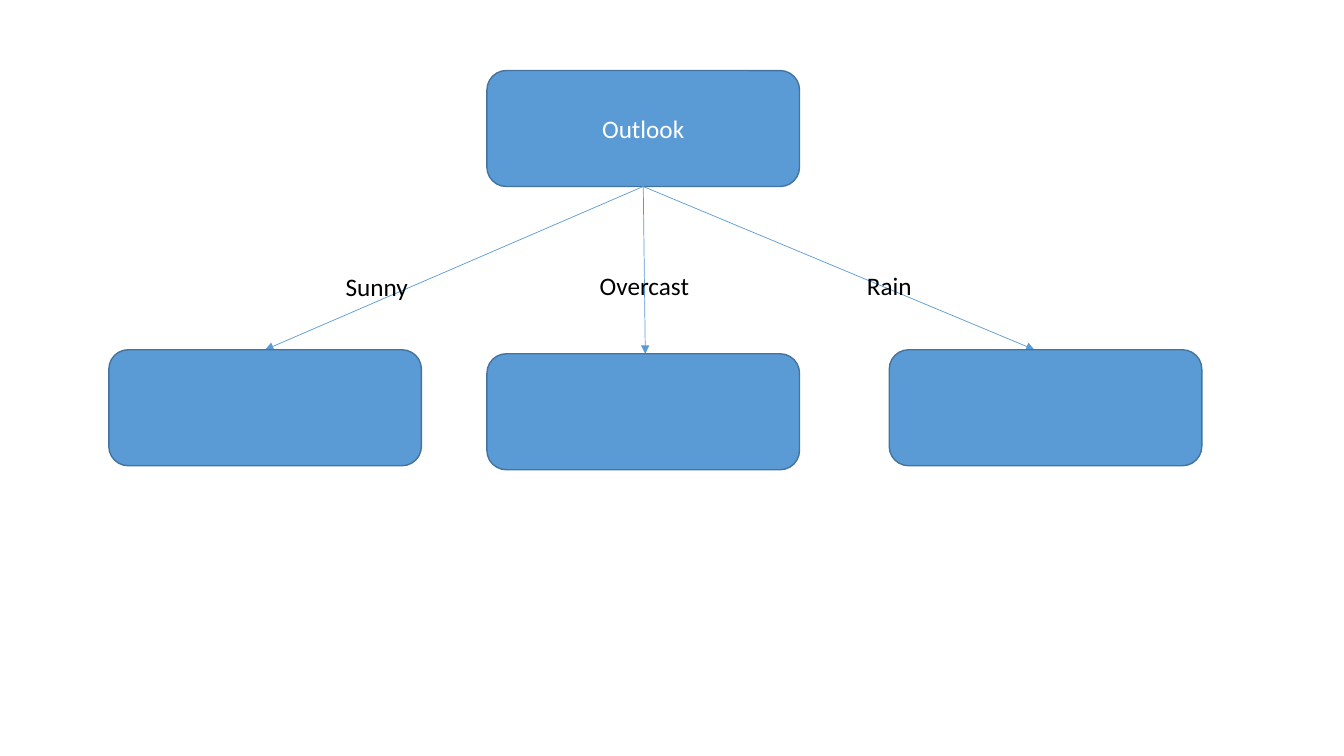
"""Decision tree slide that splits the outlook into three branches."""
from lxml import etree
from pptx import Presentation
from pptx import util as u
from pptx.dml.color import RGBColor
from pptx.enum import shapes, text
from pptx.oxml.ns import qn

PX = 9144
COLORS = {"node": "5B9BD5", "edge": "43739E", "light": "FFFFFF", "dark": "000000"}
NODE_SIZE = (310, 115)
ROOT = (483, 70)
ROOT_EXIT = (638, 185)
BRANCHES = [
    {"name": "Sunny", "label": (333, 264, 83, 40), "tip": (262, 347), "node": (108, 347)},
    {"name": "Overcast", "label": (585, 263, 110, 40), "tip": (640, 351), "node": (483, 351)},
    {"name": "Rain", "label": (850, 263, 65, 40), "tip": (1026, 347), "node": (882, 347)},
]
NODE_FRAME = {"vertical_anchor": text.MSO_ANCHOR.MIDDLE, "word_wrap": True}
LABEL_FRAME = {"word_wrap": False, "auto_size": text.MSO_AUTO_SIZE.SHAPE_TO_FIT_TEXT}
FONT = {"name": "Calibri", "size": u.Pt(18)}


def px(*lengths):
    """Turn pixel lengths into EMU."""
    return [u.Emu(length * PX) for length in lengths]


def rgb(name):
    """Look up a colour by its role."""
    return RGBColor.from_string(COLORS[name])


def apply(target, values):
    """Set every attribute listed in a dict of format values."""
    for key, value in values.items():
        setattr(target, key, value)


def write(frame, words, color, frame_format, align):
    """Fill a text frame with one formatted run."""
    apply(frame, frame_format)
    paragraph = frame.paragraphs[0]
    paragraph.alignment = align
    run = paragraph.add_run()
    run.text = words
    apply(run.font, FONT)
    run.font.color.rgb = rgb(color)


def add_node(slide, corner):
    """Draw one rounded tree node."""
    node = slide.shapes.add_shape(
        shapes.MSO_SHAPE.ROUNDED_RECTANGLE, *px(*corner, *NODE_SIZE))
    node.shadow.inherit = False
    node.fill.solid()
    node.fill.fore_color.rgb = rgb("node")
    node.line.color.rgb = rgb("edge")
    node.line.width = u.Pt(1)
    return node


def add_arrow(slide, root, tip):
    """Draw an arrow from the bottom of the root to a tip."""
    arrow = slide.shapes.add_connector(
        shapes.MSO_CONNECTOR.STRAIGHT, *px(*ROOT_EXIT, *tip))
    arrow.begin_connect(root, 2)
    arrow.line.color.rgb = rgb("node")
    arrow.line.width = u.Pt(0.5)
    etree.SubElement(arrow.line._get_or_add_ln(), qn("a:tailEnd"), type="triangle")
    etree.SubElement(arrow._element.spPr, qn("a:effectLst"))
    return arrow


def add_label(slide, name, box):
    """Name a branch beside its arrow."""
    label = slide.shapes.add_textbox(*px(*box))
    write(label.text_frame, name, "dark", LABEL_FRAME, text.PP_ALIGN.LEFT)


def main():
    """Build and save the slide."""
    deck = Presentation()
    deck.slide_width, deck.slide_height = px(1333, 750)
    slide = deck.slides.add_slide(deck.slide_layouts[6])

    outlook = add_node(slide, ROOT)
    write(outlook.text_frame, "Outlook", "light", NODE_FRAME, text.PP_ALIGN.CENTER)
    arrows = [add_arrow(slide, outlook, branch["tip"]) for branch in BRANCHES]
    for branch in BRANCHES:
        add_label(slide, branch["name"], branch["label"])
    leaves = [add_node(slide, branch["node"]) for branch in BRANCHES]
    arrows[0].end_connect(leaves[0], 0)

    deck.save("out.pptx")


if __name__ == "__main__":
    main()
